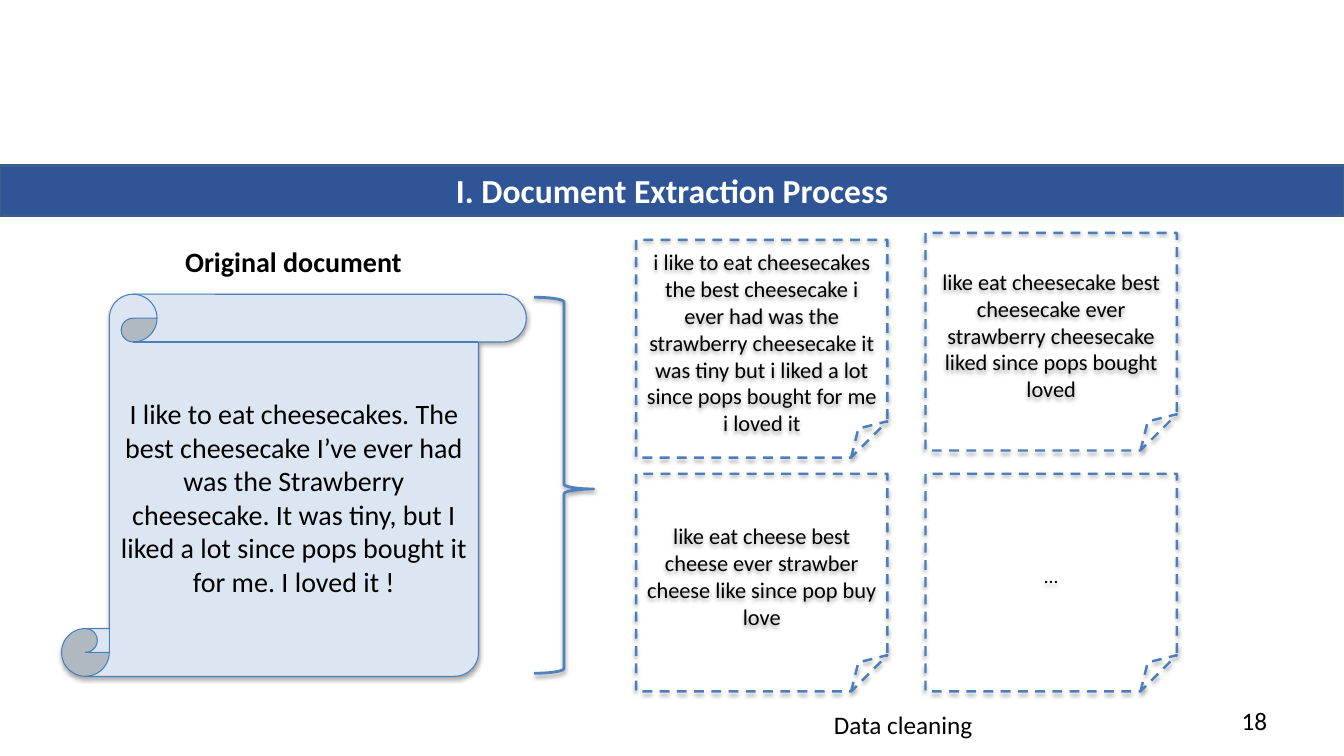
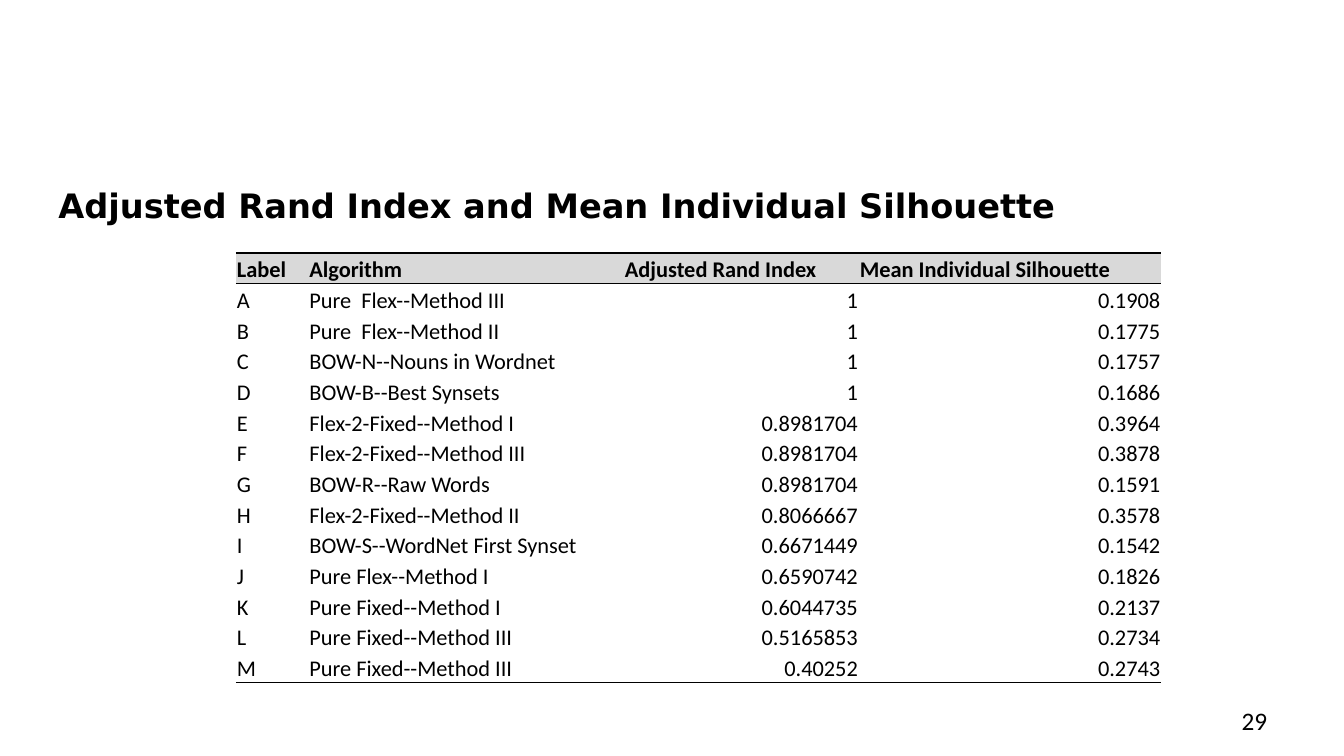
from lxml import etree
from pptx import Presentation, util as u
from pptx.dml.color import RGBColor
from pptx.enum import dml, shapes, text
from pptx.oxml import ns

BLACK, WHITE, NAVY, GREY = "000000", "FFFFFF", "2F5597", "D9D9D9"
BAND_EDGE, PALE, OUTLINE, BRACE = "3A5F8C", "DCE6F2", "4B7EBC", "4F81BD"
CENTER, LEFT, RIGHT = text.PP_ALIGN.CENTER, text.PP_ALIGN.LEFT, text.PP_ALIGN.RIGHT
TOP, MIDDLE, BOTTOM = text.MSO_ANCHOR.TOP, text.MSO_ANCHOR.MIDDLE, text.MSO_ANCHOR.BOTTOM
SHAPE = shapes.MSO_SHAPE

SCROLL_TEXT = (
    "I like to eat cheesecakes. The best cheesecake I’ve ever had was the "
    "Strawberry cheesecake. It was tiny, but I liked a lot since pops bought "
    "it for me. I loved it !"
)
NOTES = [
    (0, 31.73, 16, "i like to eat cheesecakes the best cheesecake i ever had was the "
     "strawberry cheesecake it was tiny but i liked a lot since pops bought for me i loved it"),
    (1, 30.8, 16, "like eat cheesecake best cheesecake ever strawberry cheesecake "
     "liked since pops bought loved"),
    (0, 62.67, 16, "like eat cheese best cheese ever strawber cheese like since pop buy love"),
    (1, 62.67, 14, "…"),
]
RESULTS = [
    ("Label", "Algorithm", "Adjusted Rand Index", "Mean Individual Silhouette"),
    ("A", "Pure  Flex--Method III", "1", "0.1908"),
    ("B", "Pure  Flex--Method II", "1", "0.1775"),
    ("C", "BOW-N--Nouns in Wordnet", "1", "0.1757"),
    ("D", "BOW-B--Best Synsets", "1", "0.1686"),
    ("E", "Flex-2-Fixed--Method I", "0.8981704", "0.3964"),
    ("F", "Flex-2-Fixed--Method III", "0.8981704", "0.3878"),
    ("G", "BOW-R--Raw Words", "0.8981704", "0.1591"),
    ("H", "Flex-2-Fixed--Method II", "0.8066667", "0.3578"),
    ("I", "BOW-S--WordNet First Synset", "0.6671449", "0.1542"),
    ("J", "Pure Flex--Method I", "0.6590742", "0.1826"),
    ("K", "Pure Fixed--Method I", "0.6044735", "0.2137"),
    ("L", "Pure Fixed--Method III", "0.5165853", "0.2734"),
    ("M", "Pure Fixed--Method III", "0.40252", "0.2743"),
]


def color(hex_text):
    """Turn a hex string into a colour."""
    return RGBColor.from_string(hex_text)


class Deck:
    """Holds the style and the current slide; lengths are percents of the slide."""

    def __init__(self):
        """Start an empty widescreen presentation."""
        self.presentation = Presentation()
        self.presentation.slide_width = u.Inches(13.33)
        self.presentation.slide_height = u.Inches(7.5)
        self.slide = None

    def across(self, percent):
        """Convert a share of the slide width."""
        return round(self.presentation.slide_width * percent / 100)

    def down(self, percent):
        """Convert a share of the slide height."""
        return round(self.presentation.slide_height * percent / 100)

    def area(self, left, top, width, height):
        """Convert a box from shares to lengths."""
        return self.across(left), self.down(top), self.across(width), self.down(height)

    def fill_text(self, frame, words, size, align=CENTER, anchor=TOP, bold=False,
                  ink=BLACK, font="Calibri"):
        """Fill a text frame with one formatted run."""
        frame.word_wrap = True
        frame.auto_size = text.MSO_AUTO_SIZE.NONE
        frame.vertical_anchor = anchor
        self.add_run(frame.paragraphs[0], words, size, align, bold, ink, font)

    def add_run(self, paragraph, words, size, align, bold=False, ink=BLACK, font="Calibri"):
        """Add one run to a paragraph."""
        paragraph.alignment = align
        run = paragraph.add_run()
        run.text = words
        run.font.size, run.font.bold, run.font.name = u.Pt(size), bold, font
        run.font.color.rgb = color(ink)

    def paint(self, shape, fill, line, width):
        """Set the fill and outline of a shape."""
        if fill:
            shape.fill.solid()
            shape.fill.fore_color.rgb = color(fill)
        else:
            shape.fill.background()
        shape.line.color.rgb = color(line)
        shape.line.width = u.Pt(width)

    def new_slide(self, number, title, box, **style):
        """Add a slide with its title and page number."""
        self.slide = self.presentation.slides.add_slide(self.presentation.slide_layouts[5])
        heading = self.slide.shapes.title
        heading.left, heading.top, heading.width, heading.height = self.area(*box)
        self.fill_text(heading.text_frame, title, 24, bold=True, **style)
        self.label((71.7, 92.67, 23.33, 5.33), str(number), 18, align=RIGHT, anchor=MIDDLE)
        return heading

    def label(self, box, words, size, **style):
        """Add a text box."""
        shape = self.slide.shapes.add_textbox(*self.area(*box))
        self.fill_text(shape.text_frame, words, size, **style)

    def shape(self, kind, box, line, width, fill=None, opacity=35, distance=1.8):
        """Add a preset shape with a soft shadow below it."""
        shape = self.slide.shapes.add_shape(kind, *self.area(*box))
        self.paint(shape, fill, line, width)
        shape.shadow.inherit = False
        effects = shape._element.spPr.find(ns.qn("a:effectLst"))
        shadow = etree.SubElement(
            effects, ns.qn("a:outerShdw"), blurRad=str(u.Pt(3.1)),
            dist=str(u.Pt(distance)), dir="5400000", rotWithShape="0")
        ink = etree.SubElement(shadow, ns.qn("a:srgbClr"), val=BLACK)
        etree.SubElement(ink, ns.qn("a:alpha"), val=str(opacity * 1000))
        return shape

    def note(self, box, words, size):
        """Add a dashed note with a folded corner."""
        note = self.shape(SHAPE.FOLDED_CORNER, box, OUTLINE, 1.75)
        note.line.dash_style = dml.MSO_LINE.DASH
        self.fill_text(note.text_frame, words, size, anchor=MIDDLE)
        note.text_frame.margin_top = u.Inches(0.28)

    def borders(self, cell, ruled):
        """Draw black lines on the ruled sides of a cell and clear the others."""
        properties = cell._tc.get_or_add_tcPr()
        for side in "LRTB":
            line = etree.SubElement(properties, ns.qn(f"a:ln{side}"), w=str(u.Pt(1)))
            if side in ruled:
                fill = etree.SubElement(line, ns.qn("a:solidFill"))
                etree.SubElement(fill, ns.qn("a:srgbClr"), val=BLACK)
            else:
                etree.SubElement(line, ns.qn("a:noFill"))

    def table(self, left, top, widths, row_height, rows):
        """Add a ruled table with a grey header and numbers at the right."""
        box = self.area(left, top, sum(widths), row_height * len(rows))
        table = self.slide.shapes.add_table(len(rows), len(widths), *box).table
        table.first_row = table.horz_banding = False
        for column, width in zip(table.columns, widths):
            column.width = self.across(width)
        last = len(rows) - 1
        for i, row in enumerate(rows):
            table.rows[i].height = self.down(row_height)
            ruled = ("T" if i < 2 else "") + ("B" if i in (0, last) else "")
            for j, words in enumerate(row):
                cell = table.cell(i, j)
                cell.margin_left = cell.margin_right = cell.margin_top = u.Inches(0.01)
                cell.margin_bottom = 0
                cell.vertical_anchor = BOTTOM
                self.borders(cell, ruled)
                if i == 0:
                    cell.fill.solid()
                    cell.fill.fore_color.rgb = color(GREY)
                else:
                    cell.fill.background()
                align = RIGHT if i and j > 1 else LEFT
                self.add_run(cell.text_frame.paragraphs[0], words, 16, align, bold=i == 0)


def extraction_slide(deck):
    """Build the document extraction slide."""
    band = deck.new_slide(18, "I. Document Extraction Process", (0, 21.87, 100, 6.67), ink=WHITE)
    deck.paint(band, NAVY, BAND_EDGE, 2)
    scroll = deck.shape(SHAPE.VERTICAL_SCROLL, (4.58, 38.93, 34.58, 50.53), OUTLINE, 0.75, PALE)
    deck.fill_text(scroll.text_frame, SCROLL_TEXT, 20, anchor=MIDDLE)
    for column, top, size, words in NOTES:
        deck.note((47.33 + 21.53 * column, top, 18.7, 28.8), words, size)
    deck.label((8.78, 31.73, 26.1, 5.87), "Original document", 20, bold=True)
    deck.label((54.15, 93.2, 26.1, 5.33), "Data cleaning", 18)
    brace = deck.shape(SHAPE.RIGHT_BRACE, (39.75, 39.33, 4.43, 49.73), BRACE, 2,
                       opacity=38, distance=1.6)
    brace.adjustments[0], brace.adjustments[1] = 0.08, 0.51


def results_slide(deck):
    """Build the clustering results slide."""
    deck.new_slide(29, "Adjusted Rand Index and Mean Individual Silhouette",
                   (3.6, 23.73, 96.4, 6.67), align=LEFT, font="DejaVu Sans")
    deck.table(17.55, 33.47, (5.4, 23.48, 17.48, 22.5), 4.06, RESULTS)


def main():
    """Build and save the presentation."""
    deck = Deck()
    extraction_slide(deck)
    results_slide(deck)
    deck.presentation.save("out.pptx")


if __name__ == "__main__":
    main()
